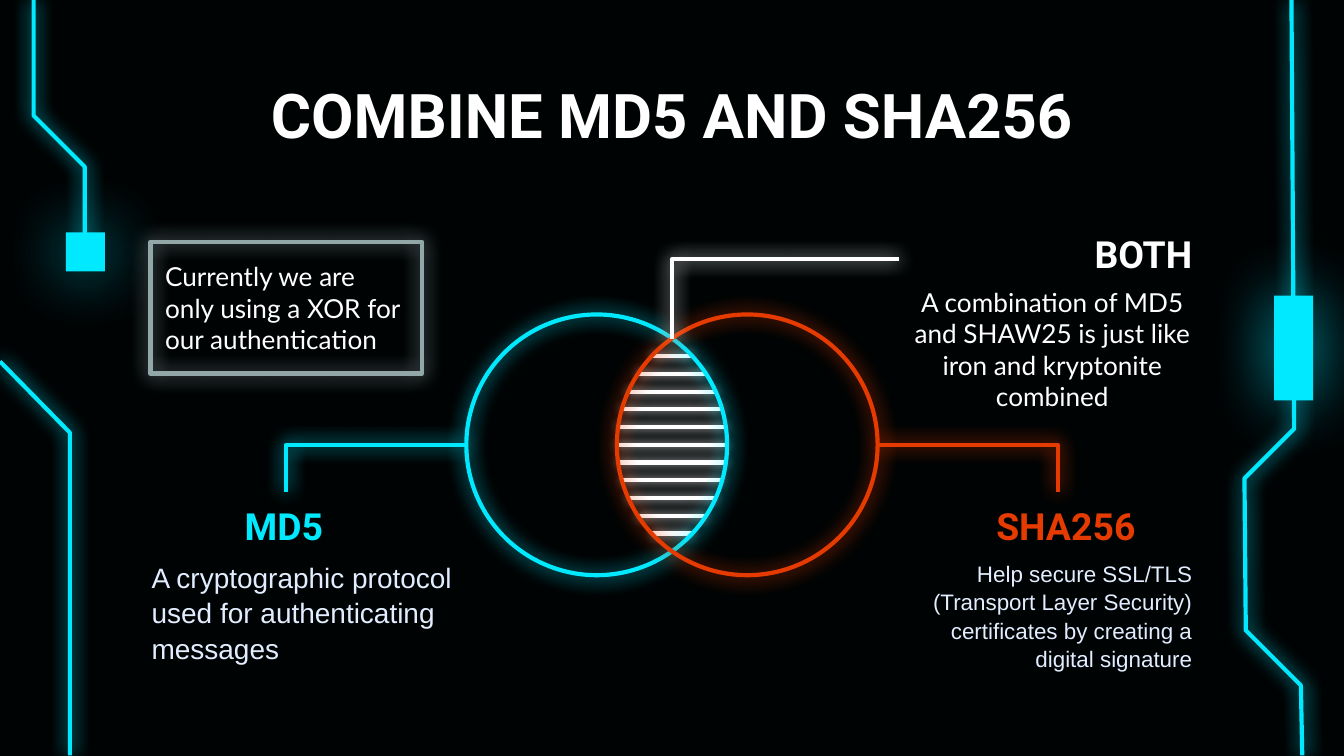
from dataclasses import dataclass
from math import sqrt

from lxml.etree import SubElement
from pptx import Presentation
from pptx.dml.color import RGBColor
from pptx.enum.shapes import MSO_CONNECTOR, MSO_SHAPE
from pptx.enum.text import MSO_ANCHOR, MSO_AUTO_SIZE, PP_ALIGN
from pptx.oxml.ns import qn
from pptx.util import Inches, Pt


@dataclass(frozen=True)
class Theme:
    background: str = "000304"
    cyan: str = "00E9FF"
    orange: str = "E63B00"
    white: str = "FFFFFF"
    pale: str = "E2EEFF"
    gray: str = "91A7A8"
    heading_font: str = "Roboto"
    detail_font: str = "Arial"
    note_font: str = "Lato"
    title_size: float = 33
    heading_size: float = 20
    md5_size: float = 15
    note_size: float = 14
    sha_size: float = 12
    stroke: float = 2.25


T = Theme()


def glow(shape, color, blur=10.1, alpha=100, filled=False):
    """Paint a shape or line in one colour and put a soft halo of it behind."""
    rgb = RGBColor.from_string(color)
    if filled:
        shape.fill.solid()
        shape.fill.fore_color.rgb = rgb
        shape.line.fill.background()
    else:
        if hasattr(shape, "fill"):
            shape.fill.background()
        shape.line.color.rgb = rgb
        shape.line.width = Pt(T.stroke)
    effects = SubElement(shape._element.spPr, qn("a:effectLst"))
    shadow = SubElement(effects, qn("a:outerShdw"), blurRad=str(Pt(blur)),
                        dist="0", dir="0", algn="bl", rotWithShape="0")
    clr = SubElement(shadow, qn("a:srgbClr"), val=color)
    SubElement(clr, qn("a:alpha"), val=str(alpha * 1000))


def write(sp, text, font, size, color, bold=False, align=PP_ALIGN.LEFT,
          anchor=MSO_ANCHOR.TOP, left=0.1, top=0, right=0.1, spacing=1.0):
    tf = sp.text_frame
    tf.word_wrap = True
    tf.auto_size = MSO_AUTO_SIZE.NONE
    tf.vertical_anchor = anchor
    tf.margin_left, tf.margin_top = Inches(left), Inches(top)
    tf.margin_right, tf.margin_bottom = Inches(right), Inches(0.1)
    p = tf.paragraphs[0]
    p.alignment = align
    p.line_spacing = spacing
    r = p.add_run()
    r.text = text
    r.font.name, r.font.size, r.font.bold = font, Pt(size), bold
    r.font.color.rgb = RGBColor.from_string(color)


prs = Presentation()
prs.slide_width, prs.slide_height = Inches(10), Inches(5.625)
s = prs.slides.add_slide(prs.slide_layouts[5])
s.background.fill.solid()
s.background.fill.fore_color.rgb = RGBColor.from_string(T.background)

# Title
title = s.shapes.title
title.left, title.top = Inches(0.78), Inches(0.59)
title.width, title.height = Inches(8.44), Inches(0.52)
write(title, "COMBINE MD5 AND SHA256", T.heading_font, T.title_size, T.white,
      bold=True, align=PP_ALIGN.CENTER, anchor=MSO_ANCHOR.MIDDLE, top=0.1)

# Circuit tracks along the slide edges
tracks = [
    [(9.61, 0), (9.63, 3.19), (9.26, 3.56), (9.27, 4.69), (9.68, 5.1), (9.69, 5.62)],
    [(0.63, 1.85), (0.63, 1.24), (0.25, 0.86), (0.25, 0)],
    [(0.52, 5.62), (0.52, 3.22), (0, 2.69)],
]
for track in tracks:
    points = [(Inches(x), Inches(y)) for x, y in track]
    builder = s.shapes.build_freeform(*points[0])
    builder.add_line_segments(points[1:], close=False)
    glow(builder.convert_to_shape(), T.cyan)

# Chips on the tracks
for x, y, w, h in [(9.48, 2.2, 0.29, 0.78), (0.49, 1.73, 0.29, 0.29)]:
    chip = s.shapes.add_shape(MSO_SHAPE.RECTANGLE, Inches(x), Inches(y),
                              Inches(w), Inches(h))
    glow(chip, T.cyan, blur=36, alpha=70, filled=True)

# Frame around the note
frame = s.shapes.add_shape(MSO_SHAPE.RECTANGLE, Inches(1.12), Inches(1.8),
                           Inches(2.02), Inches(0.98))
glow(frame, T.gray)

# Texts: left, top, width, height, wording, format
heading = dict(font=T.heading_font, size=T.heading_size, bold=True)
note = dict(font=T.note_font, size=T.note_size, color=T.white)
detail = dict(font=T.detail_font, color=T.pale, spacing=1.05)
texts = [
    (1.03, 3.74, 2.28, 0.42, "MD5", dict(heading, color=T.cyan, left=0.79)),
    (1.03, 4.16, 2.45, 1.07,
     "A cryptographic protocol used for authenticating messages",
     dict(detail, size=T.md5_size)),
    (6.69, 3.74, 2.28, 0.42, "SHA256",
     dict(heading, color=T.orange, align=PP_ALIGN.RIGHT, right=0.52)),
    (6.69, 4.16, 2.28, 0.86,
     "Help secure SSL/TLS (Transport Layer Security) certificates by creating "
     "a digital signature",
     dict(detail, size=T.sha_size, align=PP_ALIGN.RIGHT)),
    (6.69, 1.72, 2.28, 0.42, "BOTH",
     dict(heading, color=T.white, align=PP_ALIGN.RIGHT)),
    (6.69, 2.13, 2.28, 0.86,
     "A combination of MD5 and SHAW25 is just like iron and kryptonite combined",
     dict(note, align=PP_ALIGN.CENTER)),
    (1.13, 1.8, 2.02, 0.98,
     "Currently we are only using a XOR for our authentication",
     dict(note, anchor=MSO_ANCHOR.MIDDLE, top=0.1)),
]
for x, y, w, h, text, style in texts:
    tb = s.shapes.add_textbox(Inches(x), Inches(y), Inches(w), Inches(h))
    write(tb, text, **style)

# Venn diagram: rungs fill the overlap of the two circles
center_x, center_y, radius, offset = 5, 3.31, 0.97, 0.56
rung_gap = 0.132
for i in range(-5, 6):
    dy = i * rung_gap
    half = sqrt(radius ** 2 - dy ** 2) - offset
    y = Inches(center_y + dy)
    rung = s.shapes.add_connector(MSO_CONNECTOR.STRAIGHT, Inches(center_x - half), y,
                                  Inches(center_x + half), y)
    glow(rung, T.white, blur=5.6)

for side, color in [(-1, T.cyan), (1, T.orange)]:
    circle = s.shapes.add_shape(
        MSO_SHAPE.OVAL, Inches(center_x + side * offset - radius),
        Inches(center_y - radius), Inches(2 * radius), Inches(2 * radius))
    glow(circle, color)

# Callout elbows, bending at the far end
elbows = [
    (3.47, 3.31, 2.13, 3.66, T.cyan),
    (6.53, 3.31, 7.87, 3.66, T.orange),
    (6.69, 1.93, 5, 2.52, T.white),
]
for x1, y1, x2, y2, color in elbows:
    elbow = s.shapes.add_connector(MSO_CONNECTOR.ELBOW, Inches(x1), Inches(y1),
                                   Inches(x2), Inches(y2))
    adjust = elbow._element.spPr.find(qn("a:prstGeom")).find(qn("a:avLst"))
    SubElement(adjust, qn("a:gd"), name="adj1", fmla="val 100000")
    glow(elbow, color)

prs.save("out.pptx")
